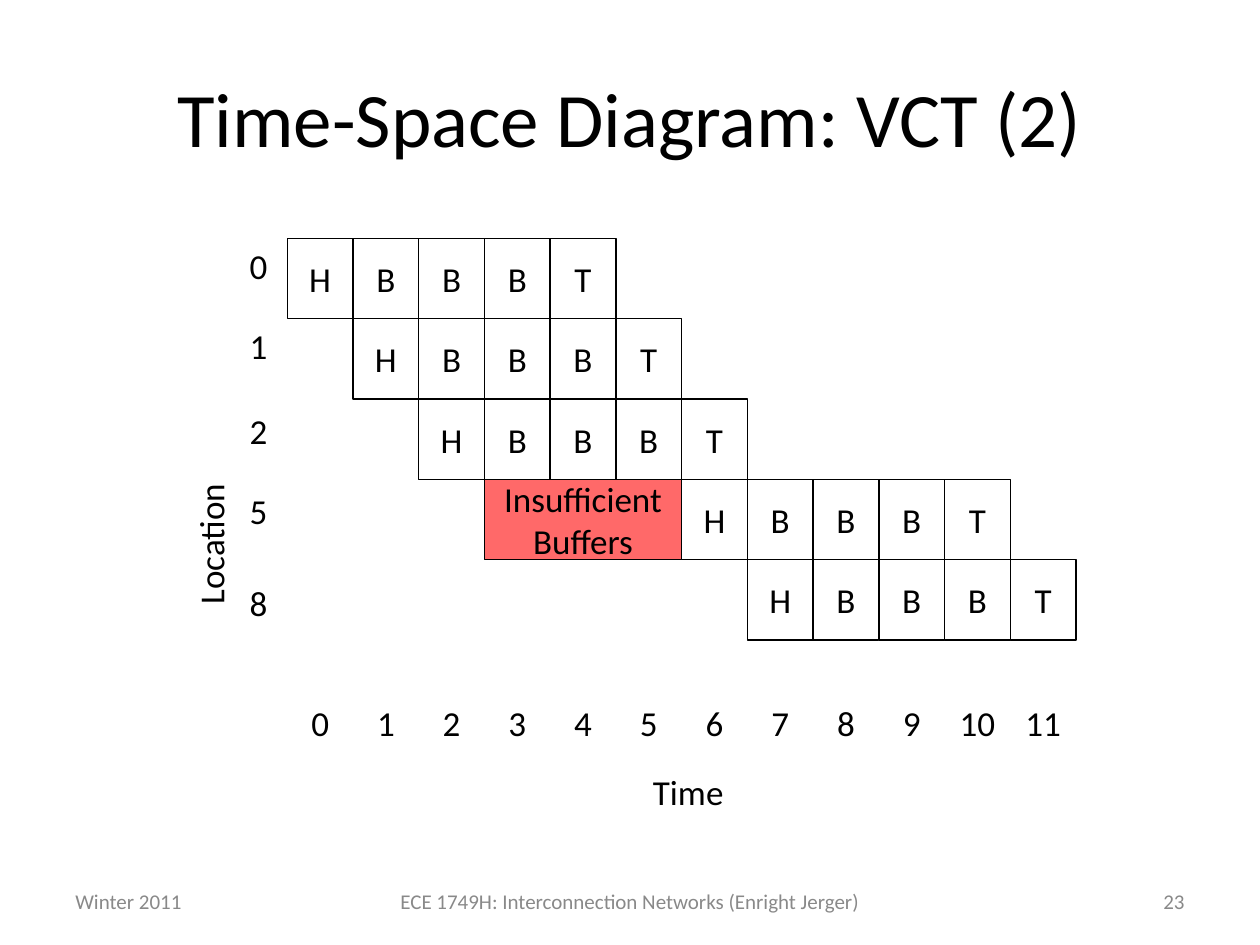
from lxml.etree import SubElement
from pptx import Presentation
from pptx.dml.color import RGBColor
from pptx.enum.shapes import MSO_SHAPE as Shape
from pptx.enum.text import MSO_ANCHOR as Anchor, MSO_AUTO_SIZE as AutoSize, PP_ALIGN as Align
from pptx.oxml.ns import qn
from pptx.util import Inches, Pt

SLIDE_W, SLIDE_H = 10, 7.5
GRID_LEFT, GRID_TOP = 2.28, 1.89
COLUMN_W, ROW_H = 6.26 / 12, 3.19 / 5  # twelve time steps, five locations
LABEL_ROWS = 0.69  # height of a one-line label, in rows

FLITS = "HBBBT"
# location, row of its label, time step at which the head flit arrives
HOPS = [("0", 0, 0), ("1", 1, 1), ("2", 2.05, 2), ("5", 3.05, 6), ("8", 4.2, 7)]


def color(hex_string):
    return RGBColor.from_string(hex_string)


def grid(column, row, columns=1, rows=1):
    """Turn a grid position into left, top, width and height."""
    return (Inches(GRID_LEFT + column * COLUMN_W), Inches(GRID_TOP + row * ROW_H),
            Inches(columns * COLUMN_W), Inches(rows * ROW_H))


def share(left, top, width, height):
    """Turn shares of the slide's size into left, top, width and height."""
    return (Inches(left * SLIDE_W), Inches(top * SLIDE_H),
            Inches(width * SLIDE_W), Inches(height * SLIDE_H))


class Diagram:
    font = "Calibri"
    ink = "000000"
    muted = "898989"
    paper = "FFFFFF"
    stall = "FF0000"
    body_size = 20

    def __init__(self, slide):
        self.slide = slide

    def set_text(self, frame, text, align, size=body_size, hue=ink):
        frame.word_wrap = True
        paragraph = frame.paragraphs[0]
        paragraph.text = text
        paragraph.alignment = align
        paragraph.font.name = self.font
        paragraph.font.size = Pt(size)
        paragraph.font.color.rgb = color(hue)

    def cell(self, text, place, outline=ink, fill=None, opacity=100):
        box = self.slide.shapes.add_shape(Shape.RECTANGLE, *place)
        box.shadow.inherit = False
        box.line.color.rgb = color(outline)
        box.line.width = Pt(0.75)
        if fill:
            box.fill.solid()
            box.fill.fore_color.rgb = color(fill)
            tint = box.fill._xPr.find(".//" + qn("a:srgbClr"))
            SubElement(tint, qn("a:alpha"), val=str(opacity * 1000))
        else:
            box.fill.background()
        box.text_frame.vertical_anchor = Anchor.MIDDLE
        self.set_text(box.text_frame, text, Align.CENTER)

    def label(self, text, place, align=Align.LEFT, rotation=0):
        box = self.slide.shapes.add_textbox(*place)
        box.rotation = rotation
        self.set_text(box.text_frame, text, align)
        box.text_frame.auto_size = AutoSize.SHAPE_TO_FIT_TEXT

    def heading(self, text, place, align, size, hue):
        frame = self.slide.shapes.add_textbox(*place).text_frame
        frame.vertical_anchor = Anchor.MIDDLE
        self.set_text(frame, text, align, size, hue)


def main():
    deck = Presentation()
    deck.slide_width, deck.slide_height = Inches(SLIDE_W), Inches(SLIDE_H)
    diagram = Diagram(deck.slides.add_slide(deck.slide_layouts[6]))

    diagram.heading("Time-Space Diagram: VCT (2)", share(0.05, 0.04, 0.9, 1 / 6),
                    Align.CENTER, 44, diagram.ink)

    diagram.label("Location", grid(-3.43, 2.51, 4.54, LABEL_ROWS), rotation=270)
    diagram.label("Time", grid(0.2, 6.54, 11.8, LABEL_ROWS), Align.CENTER)

    for step in range(12):
        diagram.cell(str(step), grid(step, 5.53), outline=diagram.paper)

    for row, (location, label_row, arrival) in enumerate(HOPS):
        diagram.label(location, grid(-0.76, label_row, 1, LABEL_ROWS))
        for step, flit in enumerate(FLITS, arrival):
            diagram.cell(flit, grid(step, row))

    diagram.cell("Insufficient Buffers", grid(3, 3, columns=3),
                 fill=diagram.stall, opacity=59)

    footer = [
        ("Winter 2011", 0.05, 0.23, Align.LEFT),
        ("ECE 1749H: Interconnection Networks (Enright Jerger)", 0.28, 0.44, Align.CENTER),
        ("23", 0.72, 0.23, Align.RIGHT),
    ]
    for text, left, width, align in footer:
        diagram.heading(text, share(left, 6.95 / SLIDE_H, width, 0.4 / SLIDE_H),
                        align, 12, diagram.muted)

    deck.save("out.pptx")


if __name__ == "__main__":
    main()
